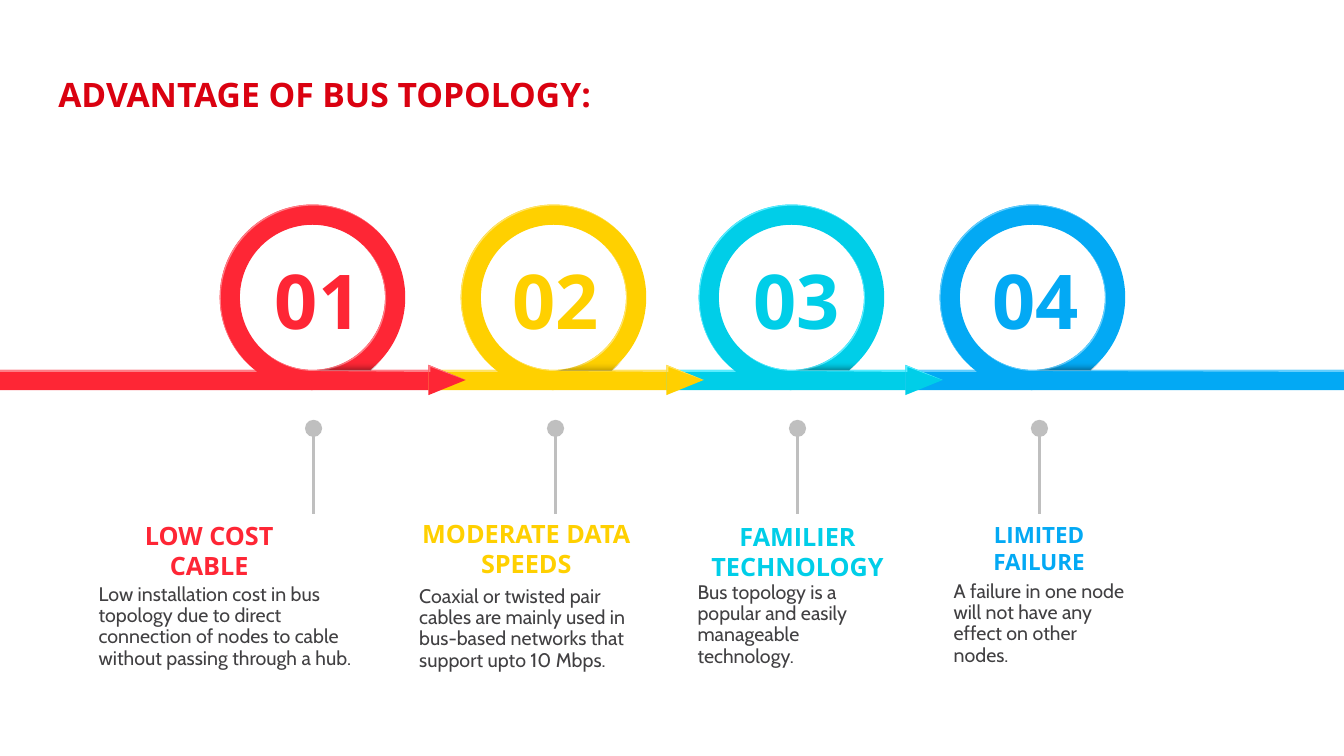
"""Build a slide on the advantages of bus topology as a looped timeline."""
from dataclasses import dataclass
from math import cos, radians, sin

from lxml.etree import SubElement
from pptx import Presentation
from pptx.dml.color import RGBColor as Rgb
from pptx.enum.shapes import MSO_CONNECTOR as Link, MSO_SHAPE as Kind
from pptx.enum.text import MSO_ANCHOR as Anchor, PP_ALIGN as Align
from pptx.oxml.ns import qn
from pptx.util import Inches, Pt


@dataclass(frozen=True)
class Theme:
    head: str = "Open Sans"
    body: str = "Cabin"
    title: str = "DA0110"
    ink: str = "414042"
    pin: str = "BFBFBF"
    title_pt: int = 24
    num_pt: int = 54
    body_pt: int = 14
    pin_pt: float = 2.38


THEME = Theme()
TITLE = "ADVANTAGE OF BUS TOPOLOGY:"
LOOPS = [
    dict(num="01", mid=3.1, start=0, end=4.25, color="FE2635", shine="FE7D86",
         dark=("000000", 40), num_x=2.72),
    dict(num="02", mid=5.49, start=4.25, end=6.61, color="FFD000", shine="FFE366",
         dark=("BF9C00", 100), num_x=5.08),
    dict(num="03", mid=7.85, start=6.61, end=8.98, color="00CEE8", shine="58ECFF",
         dark=("000000", 40), num_x=7.47),
    dict(num="04", mid=10.24, start=8.98, end=13.33, color="03A9F4", shine="63CDFD",
         dark=("000000", 40), num_x=9.84),
]
NOTES = [
    ("LOW COST CABLE", (1.26, 5.16, 1.63, 0.3), 18,
     "Low installation cost in bus topology due to direct connection of nodes "
     "to cable without passing through a hub.", (0.88, 5.75, 2.91, 1.06)),
    ("MODERATE DATA SPEEDS", (3.87, 5.14, 2.7, 0.3), 18,
     "Coaxial or twisted pair cables are mainly used in bus-based networks "
     "that support upto 10 Mbps.", (4.06, 5.77, 2.33, 1.06)),
    ("FAMILIER TECHNOLOGY", (6.82, 5.17, 2.18, 0.3), 18,
     "Bus topology is a popular and easily manageable technology.",
     (6.82, 5.73, 1.94, 1.06)),
    ("LIMITED FAILURE", (9.6, 5.17, 1.41, 0.27), 16,
     "A failure in one node will not have any effect on other nodes.",
     (9.36, 5.72, 1.94, 1.06)),
]
MID_Y, OUTER, INNER = 2.95, 0.92, 0.72
TOP, LOW = MID_Y + INNER, MID_Y + OUTER
EDGE, SHIFT = 0.02, 0.01
PIN_X, PIN_STEP, PIN_Y, PIN_END, DOT = 3.11, 2.4, 4.25, 5.1, 0.17

deck = Presentation()
deck.slide_width, deck.slide_height = Inches(13.33), Inches(7.5)
slide = deck.slides.add_slide(deck.slide_layouts[6])
shapes = slide.shapes


def arc(x, y, size, first, last):
    """Return quarter points of an arc, each with its radius, start and sweep."""
    low, high = sorted((first, last))
    inner = [a for a in range(-360, 361, 90) if low < a < high]
    cuts = sorted([first, *inner, last], reverse=first > last)
    spots = [(x + size * cos(radians(a)), y + size * sin(radians(a))) for a in cuts]
    bends = [(*spot, (size, a, b - a)) for spot, a, b in zip(spots[1:], cuts, cuts[1:])]
    return [spots[0], *bends]


def paint(shape, color):
    """Give a shape a plain fill without line or shadow."""
    shape.shadow.inherit = False
    shape.line.fill.background()
    shape.fill.solid()
    shape.fill.fore_color.rgb = Rgb.from_string(color)
    return shape


def draw(color, *rings):
    """Draw one filled outline from closed rings of points and bends."""
    pen = None
    for ring in rings:
        first, *rest = [(Inches(x), Inches(y)) for x, y, *_ in ring]
        if pen:
            pen.move_to(*first)
        else:
            pen = shapes.build_freeform(*first, scale=1.0)
        pen.add_line_segments(rest, close=True)
    shape = paint(pen.convert_to_shape(), color)
    lines = list(shape._element.iter(qn("a:lnTo")))
    for line, (_, _, *bend) in zip(lines, [spot for ring in rings for spot in ring[1:]]):
        if bend:
            size, start, sweep = bend[0]
            curve = SubElement(line.getparent(), qn("a:arcTo"))
            for key, value in (("wR", Inches(size)), ("hR", Inches(size)),
                               ("stAng", start % 360 * 60000), ("swAng", sweep * 60000)):
                curve.set(key, str(int(value)))
            line.getparent().replace(line, curve)
    return shape


def shade(shape, color, dark, alpha):
    """Fade a shape from clear to dark, top to bottom."""
    shape.fill.gradient()
    shape.fill.gradient_angle = 270
    for stop, place, tone in zip(shape.fill.gradient_stops, (0.62, 1), (color, dark)):
        stop.position = place
        stop.color.rgb = Rgb.from_string(tone)
    tones = list(shape._element.spPr.iter(qn("a:srgbClr")))
    for tone, part in zip(tones, (0, alpha)):
        SubElement(tone, qn("a:alpha")).set("val", str(part * 1000))


def write(text, box, font=THEME.head, size=18, color=THEME.ink, bold=True,
          align=Align.LEFT, pad=True, wrap=True, space=None, anchor=Anchor.TOP):
    """Add a text box with one paragraph."""
    frame = shapes.add_textbox(*map(Inches, box)).text_frame
    frame.word_wrap, frame.vertical_anchor = wrap, anchor
    if not pad:
        frame.margin_left = frame.margin_right = 0
        frame.margin_top = frame.margin_bottom = 0
    para = frame.paragraphs[0]
    para.text, para.alignment, para.line_spacing = text, align, space
    para.font.name, para.font.size, para.font.bold = font, Pt(size), bold
    para.font.color.rgb = Rgb.from_string(color)


def loop(mid, start, end, color, shine, dark, last, **_):
    """Draw one ring with its band, arrow, highlights and shade."""
    foot = 0.57
    draw(color, [(start, TOP), (mid - foot, TOP), (mid, LOW), (start, LOW)])
    draw(shine, [(start, TOP), (mid - foot, TOP), (mid - foot + EDGE, TOP + EDGE),
                 (start, TOP + EDGE)])
    if not last:
        tip, peak, axis = end + 0.37, 3.62, 3.77
        draw(color, [(end, peak), (tip, axis), (end, 2 * axis - peak)])
        draw(shine, [(end, TOP + EDGE), (end + EDGE, TOP + EDGE),
                     (end + EDGE, peak + EDGE), (tip, axis), (end, peak)])
    draw(color,
         arc(mid, MID_Y, OUTER, 52, -270) + [(end, LOW), (end, TOP), (mid + foot, TOP)],
         arc(mid, MID_Y, INNER, 0, 360))
    glow = mid + SHIFT, MID_Y + SHIFT
    draw(shine, [(end, TOP), (mid + 0.15, TOP)] + arc(*glow, INNER, 78, -45)
         + arc(mid, MID_Y, INNER, -45, 135) + arc(*glow, INNER, 135, 90)
         + [(end, TOP + EDGE)])
    draw(shine, arc(*glow, OUTER, 135, 315) + arc(mid, MID_Y, OUTER, 315, 135))
    fold = draw(color, [(mid, TOP), (mid + foot, TOP)] + arc(mid, MID_Y, OUTER, 52, 31)
                + arc(mid, MID_Y, INNER, 42, 90))
    shade(fold, color, *dark)


def pin(x):
    """Draw a stem with a dot on top."""
    stem = shapes.add_connector(Link.STRAIGHT, *map(Inches, (x, PIN_Y, x, PIN_END)))
    stem.line.color.rgb, stem.line.width = Rgb.from_string(THEME.pin), Pt(THEME.pin_pt)
    SubElement(stem._element.spPr, qn("a:effectLst"))
    box = x - DOT / 2, PIN_Y - DOT / 2, DOT, DOT
    paint(shapes.add_shape(Kind.OVAL, *map(Inches, box)), THEME.pin)


for item in reversed(LOOPS):
    loop(**item, last=item is LOOPS[-1])
for i, item in enumerate(LOOPS):
    pin(PIN_X + i * PIN_STEP)
    write(item["num"], (item["num_x"], 2.51, 0.87, 0.91), size=THEME.num_pt,
          color=item["color"], align=Align.CENTER, pad=False, wrap=False,
          anchor=Anchor.MIDDLE)
for item, (head, head_box, size, body, body_box) in zip(LOOPS, NOTES):
    write(head, head_box, size=size, color=item["color"], align=Align.CENTER, pad=False)
    write(body, body_box, font=THEME.body, size=THEME.body_pt, bold=False, space=0.9)
write(TITLE, (0.48, 0.73, 5.98, 0.59), size=THEME.title_pt, color=THEME.title, space=0.9)

deck.save("out.pptx")
